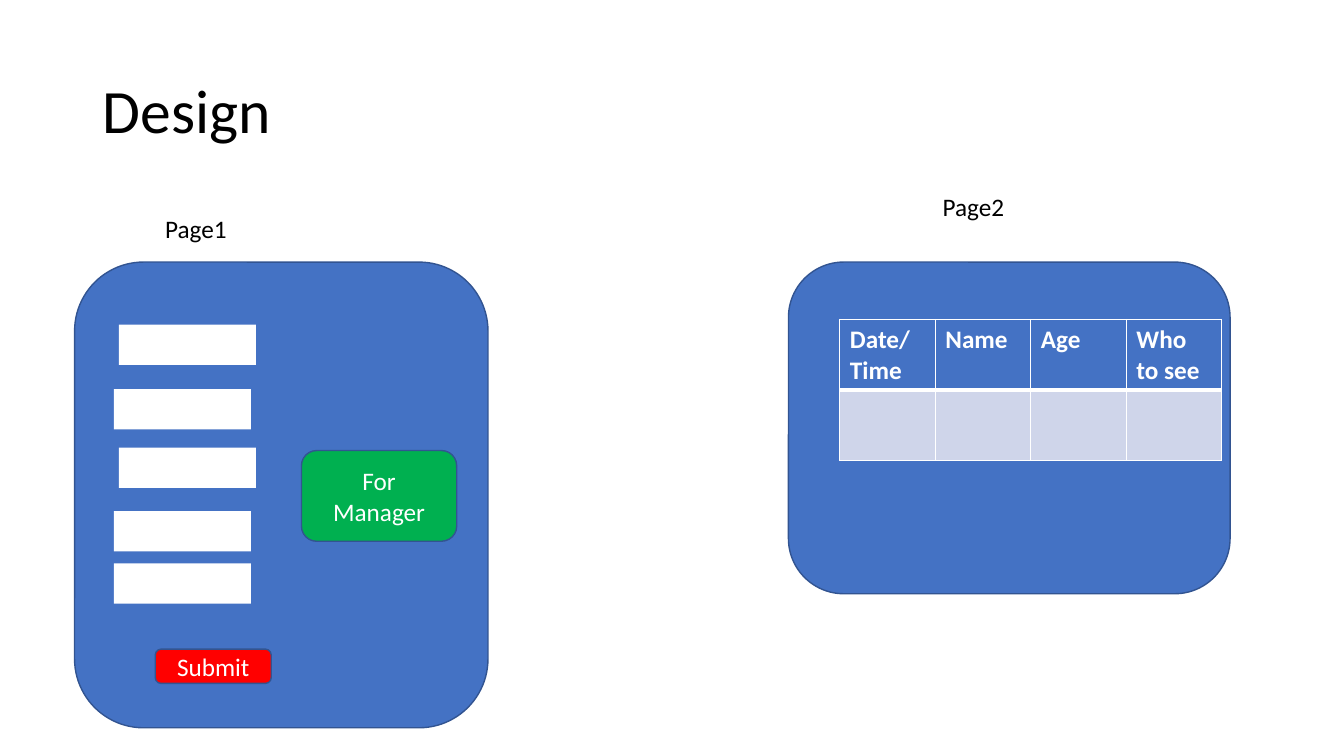
from lxml import etree
from pptx import Presentation
from pptx import util as u
from pptx.dml.color import RGBColor
from pptx.enum import shapes, text
from pptx.oxml import ns

FONT = "Calibri"
BLUE, EDGE, WHITE, BLACK = "4472C4", "325491", "FFFFFF", "000000"
RED, GREEN, PALE = "FF0000", "00B050", "CFD5EA"
ROUNDED = shapes.MSO_SHAPE.ROUNDED_RECTANGLE


def color(value):
    return RGBColor.from_string(value)


def box(*lengths):
    return [u.Inches(length) for length in lengths]


def write(frame, words, size=18, ink=BLACK, bold=False, align=None, spacing=None):
    paragraph = frame.paragraphs[0]
    paragraph.alignment = align
    paragraph.line_spacing = spacing
    run = paragraph.add_run()
    run.text = words
    run.font.name = FONT
    run.font.size = u.Pt(size)
    run.font.bold = bold
    run.font.color.rgb = color(ink)


def add_title(slide, words):
    title = slide.shapes.title
    title.left, title.top, title.width, title.height = box(0.92, 0.4, 11.5, 1.45)
    title.text_frame.vertical_anchor = text.MSO_ANCHOR.MIDDLE
    write(title.text_frame, words, size=44, align=text.PP_ALIGN.LEFT, spacing=0.9)


def add_label(slide, words, left, top):
    label = slide.shapes.add_textbox(*box(left, top, 0.82, 0.4))
    label.text_frame.word_wrap = False
    label.text_frame.auto_size = text.MSO_AUTO_SIZE.SHAPE_TO_FIT_TEXT
    write(label.text_frame, words)


def add_block(slide, place, fill, kind=ROUNDED, line=EDGE, words=None):
    shape = slide.shapes.add_shape(kind, *box(*place))
    shape.shadow.inherit = False
    shape.fill.solid()
    shape.fill.fore_color.rgb = color(fill)
    if line:
        shape.line.color.rgb = color(line)
        shape.line.width = u.Pt(1)
    else:
        shape.line.fill.background()
    if words:
        shape.text_frame.word_wrap = True
        shape.text_frame.vertical_anchor = text.MSO_ANCHOR.MIDDLE
        write(shape.text_frame, words, ink=WHITE, align=text.PP_ALIGN.CENTER)


def set_borders(cell, **widths):
    properties = cell._tc.get_or_add_tcPr()
    for side in "LRTB":
        line = etree.SubElement(properties, ns.qn(f"a:ln{side}"),
                                w=str(u.Pt(widths.get(side, 1))))
        fill = etree.SubElement(line, ns.qn("a:solidFill"))
        etree.SubElement(fill, ns.qn("a:srgbClr"), val=WHITE)


def add_visit_table(slide, headings):
    frame = slide.shapes.add_table(2, len(headings), *box(8.33, 3.17, 3.79, 1.39))
    table = frame.table
    for column, heading in enumerate(headings):
        header, entry = table.cell(0, column), table.cell(1, column)
        set_borders(header, B=3)
        set_borders(entry, T=3)
        for cell, fill in ((header, BLUE), (entry, PALE)):
            cell.fill.solid()
            cell.fill.fore_color.rgb = color(fill)
        write(header.text_frame, heading, ink=WHITE, bold=True)


def main():
    presentation = Presentation()
    presentation.slide_width, presentation.slide_height = box(13.33, 7.5)
    slide = presentation.slides.add_slide(presentation.slide_layouts[5])
    add_title(slide, "Design")

    # Page 1: entry form
    add_block(slide, (0.74, 2.6, 4.1, 4.62), BLUE)
    add_label(slide, "Page1", 1.54, 2.07)
    fields = [(1.18, 3.22), (1.13, 3.86), (1.18, 4.44), (1.13, 5.07), (1.13, 5.59)]
    for left, top in fields:
        add_block(slide, (left, top, 1.36, 0.4), WHITE,
                  kind=shapes.MSO_SHAPE.RECTANGLE, line=None)
    add_block(slide, (1.54, 6.44, 1.15, 0.34), RED, words="Submit")
    add_block(slide, (2.99, 4.47, 1.54, 0.9), GREEN, words="For Manager")

    # Page 2: visit list
    add_label(slide, "Page2", 9.25, 1.85)
    add_block(slide, (7.82, 2.6, 4.38, 3.29), BLUE)
    add_visit_table(slide, ["Date/Time", "Name", "Age", "Who to see"])

    presentation.save("out.pptx")


main()
